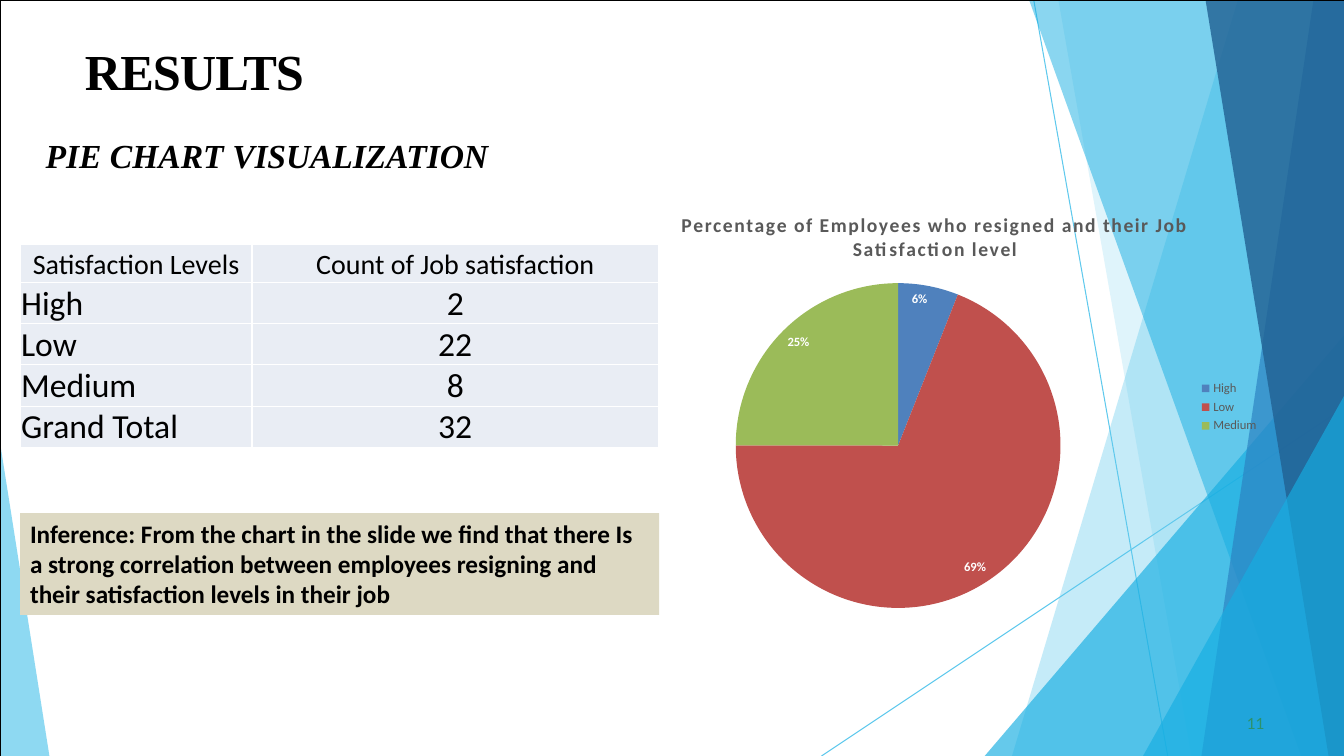
import pptx
import pptx.chart.data
import pptx.dml.color
import pptx.enum.chart
import pptx.enum.shapes
import pptx.enum.text
import pptx.oxml
import pptx.oxml.ns
import pptx.util

Pt = pptx.util.Pt
RGB = pptx.dml.color.RGBColor
ALIGN = pptx.enum.text.PP_ALIGN
NS = pptx.oxml.ns.nsdecls("a")

BLACK = RGB(0x00, 0x00, 0x00)
WHITE = RGB(0xFF, 0xFF, 0xFF)
GREY = RGB(0x59, 0x59, 0x59)
GREEN = RGB(0x2C, 0x92, 0x6B)
SKY = RGB(0x5F, 0xC9, 0xED)
CYAN = RGB(0x16, 0xAE, 0xE2)
BLUE = RGB(0x2C, 0x83, 0xC3)
NAVY = RGB(0x21, 0x60, 0x92)
PALE = RGB(0xE9, 0xED, 0xF4)
SAND = RGB(0xDD, 0xD9, 0xC3)
SLICES = [RGB(0x4F, 0x81, 0xBD), RGB(0xC0, 0x50, 0x4D), RGB(0x9B, 0xBB, 0x59)]

WIDE, HIGH = 960, 540

# Corner points, colour and opacity of each band, back to front
BANDS = [
    ([(960, 540), (722.9, 540), (884.2, 0), (960, 0)], SKY, 36),
    ([(960, 540), (851, 540), (756, 0), (960, 0)], SKY, 20),
    ([(960, 540), (703.4, 540), (960, 239.8)], CYAN, 66),
    ([(960, 540), (929.5, 540), (735.1, 0), (960, 0)], CYAN, 50),
    ([(960, 540), (858.2, 540), (938.2, 0), (960, 0)], BLUE, 70),
    ([(960, 540), (949, 540), (861.1, 0), (960, 0)], NAVY, 80),
    ([(960, 540), (816.5, 540), (960, 283)], CYAN, 66),
    ([(35.3, 540), (0, 540), (0, 316.1)], SKY, 70),
]
RAYS = [(738.4, 0, 834.1, 540), (586.8, 540, 960, 291.2)]

ROWS = [
    ("Satisfaction Levels", "Count of Job satisfaction"),
    ("High", "2"),
    ("Low", "22"),
    ("Medium", "8"),
    ("Grand Total", "32"),
]
SHARES = {"High": 6, "Low": 69, "Medium": 25}
NOTE = ("Inference: From the chart in the slide we find that there Is a strong "
        "correlation between employees resigning and their satisfaction levels "
        "in their job")


def put(item, form):
    """Set each attribute named in form on item."""
    for name, value in form.items():
        setattr(item, name, value)


def style(font, size, color, **form):
    put(font, {"size": Pt(size), "name": "Calibri", **form})
    font.color.rgb = color


def write(para, text, size, color, space=0, **form):
    """Add a run; space is the letter spacing in points."""
    run = para.add_run()
    run.text = text
    style(run.font, size, color, **form)
    if space:
        run._r.get_or_add_rPr().set("spc", str(round(space * 100)))


def band(slide, spots, color, alpha):
    spots = [(Pt(x), Pt(y)) for x, y in spots]
    maker = slide.shapes.build_freeform(*spots[0], scale=1.0)
    maker.add_line_segments(spots[1:], close=True)
    shape = maker.convert_to_shape()
    shape.shadow.inherit = False
    shape.line.fill.background()
    shape.fill.solid()
    shape.fill.fore_color.rgb = color
    tint = shape.fill._xPr.find(".//" + pptx.oxml.ns.qn("a:srgbClr"))
    tint.append(pptx.oxml.parse_xml(f'<a:alpha {NS} val="{alpha * 1000}"/>'))


def ray(slide, ends):
    kind = pptx.enum.shapes.MSO_CONNECTOR.STRAIGHT
    line = slide.shapes.add_connector(kind, *map(Pt, ends))
    line.line.color.rgb = SKY
    line.line.width = Pt(0.75)
    line._element.spPr.append(pptx.oxml.parse_xml(f"<a:effectLst {NS}/>"))


def block(slide, area):
    kind = pptx.enum.shapes.MSO_SHAPE.RECTANGLE
    shape = slide.shapes.add_shape(kind, *map(Pt, area))
    shape.shadow.inherit = False
    return shape


def label(slide, area, left, top, before):
    """Add a text box and return its first paragraph."""
    frame = slide.shapes.add_textbox(*map(Pt, area)).text_frame
    put(frame, {"word_wrap": True, "margin_left": Pt(left), "margin_top": Pt(top),
                "margin_right": 0, "margin_bottom": 0})
    para = frame.paragraphs[0]
    para.space_before = Pt(before)
    return para


def edge(cell):
    """Draw white borders on the four sides of a cell."""
    props = cell._tc.get_or_add_tcPr()
    for spot, side in enumerate(("lnL", "lnR", "lnT", "lnB")):
        props.insert(spot, pptx.oxml.parse_xml(
            f'<a:{side} {NS} w="{Pt(1)}"><a:solidFill><a:srgbClr val="{WHITE}"/>'
            f"</a:solidFill></a:{side}>"))


def grid(slide):
    area = map(Pt, (14.4, 174.6, 456, 144.6))
    table = slide.shapes.add_table(len(ROWS), 2, *area).table
    put(table, {"first_row": False, "horz_banding": False})
    for col, width in zip(table.columns, (165.6, 290.4)):
        col.width = Pt(width)
    for r, texts in enumerate(ROWS):
        table.rows[r].height = Pt(29.4 if r else 27)
        for c, text in enumerate(texts):
            cell = table.cell(r, c)
            put(cell, {"margin_left": Pt(0.7), "margin_right": Pt(0.7),
                       "margin_top": Pt(0.7), "margin_bottom": 0,
                       "vertical_anchor": pptx.enum.text.MSO_ANCHOR.BOTTOM})
            cell.fill.solid()
            cell.fill.fore_color.rgb = PALE
            edge(cell)
            para = cell.text_frame.paragraphs[0]
            para.alignment = ALIGN.LEFT if r and not c else ALIGN.CENTER
            write(para, text, 24 if r else 20, BLACK)


def pie(slide):
    data = pptx.chart.data.CategoryChartData()
    data.categories = list(SHARES)
    data.add_series("Series 1", list(SHARES.values()))
    kinds = pptx.enum.chart
    area = map(Pt, (429.1, 138.2, 477.4, 305.3))
    chart = slide.shapes.add_chart(kinds.XL_CHART_TYPE.PIE, *area, data).chart
    style(chart.font, 10, BLACK)
    write(chart.chart_title.text_frame.paragraphs[0],
          "Percentage of Employees who resigned and their Job Satisfaction level",
          14, GREY, space=1, bold=True)
    chart.has_legend = True
    put(chart.legend, {"position": kinds.XL_LEGEND_POSITION.RIGHT,
                       "include_in_layout": False})
    style(chart.legend.font, 9, GREY)
    plot = chart.plots[0]
    put(plot, {"vary_by_categories": True, "has_data_labels": True})
    put(plot.data_labels, {"show_percentage": True, "show_value": False,
                           "number_format": "0%", "number_format_is_linked": False,
                           "position": kinds.XL_LABEL_POSITION.INSIDE_END})
    style(plot.data_labels.font, 9, WHITE, bold=True)
    for spot, color in enumerate(SLICES):
        fill = plot.series[0].points[spot].format.fill
        fill.solid()
        fill.fore_color.rgb = color
    # Fixed place for the pie inside the chart
    field = chart._chartSpace.chart.plotArea
    for old in field.findall(pptx.oxml.ns.qn("c:layout")):
        field.remove(old)
    place = {"x": 0.2, "y": 0.21, "w": 0.49, "h": 0.76}
    parts = "".join(f'<c:{k} val="{v}"/>' for k, v in place.items())
    field.insert(0, pptx.oxml.parse_xml(
        f'<c:layout {pptx.oxml.ns.nsdecls("c")}><c:manualLayout>'
        '<c:layoutTarget val="inner"/><c:xMode val="edge"/><c:yMode val="edge"/>'
        f"{parts}</c:manualLayout></c:layout>"))


def main():
    deck = pptx.Presentation()
    put(deck, {"slide_width": Pt(WIDE), "slide_height": Pt(HIGH)})
    slide = deck.slides.add_slide(deck.slide_layouts[6])

    # Backdrop
    for ends in RAYS:
        ray(slide, ends)
    for spots, color, alpha in BANDS:
        band(slide, spots, color, alpha)

    # Headings
    serif = {"name": "Times New Roman", "bold": True}
    para = label(slide, (59.8, 28.1, 161.3, 45.4), 0.9, 0.7, 1)
    write(para, "RESULTS", 36, BLACK, space=-0.7, **serif)
    para = label(slide, (31.7, 87.8, 761, 38.2), 0.9, 8.6, 8.9)
    write(para, "PIE CHART ", 24, BLACK, italic=True, **serif)
    write(para, "VISUALIZATION", 24, BLACK, space=-0.1, italic=True, **serif)

    # Slide frame and page number
    frame = block(slide, (0, 0, WIDE, HIGH))
    frame.fill.background()
    frame.line.color.rgb = BLACK
    frame.line.width = Pt(0.25)
    para = label(slide, (887.8, 509.8, 18.7, 15.1), 2.9, 0, 0.3)
    write(para, "11", 11, GREEN, space=-0.2, name="Lato")

    # Results
    grid(slide)
    note = block(slide, (14.4, 366.5, 456.5, 72.7))
    note.fill.solid()
    note.fill.fore_color.rgb = SAND
    note.line.fill.background()
    note.text_frame.vertical_anchor = pptx.enum.text.MSO_ANCHOR.TOP
    para = note.text_frame.paragraphs[0]
    para.alignment = ALIGN.LEFT
    write(para, NOTE, 18, BLACK, bold=True)
    pie(slide)

    deck.save("out.pptx")


if __name__ == "__main__":
    main()
